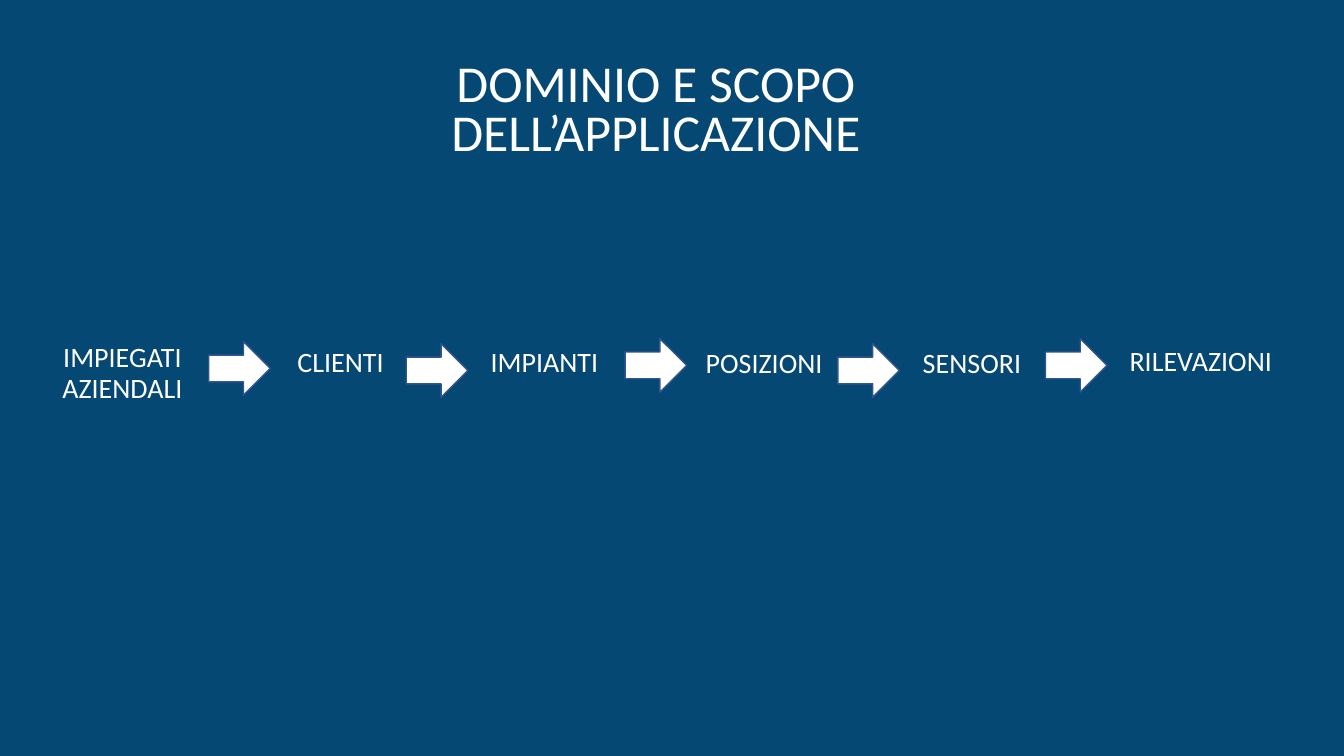
"""Build the slide on the domain and purpose of the application."""
from dataclasses import dataclass

from pptx import Presentation
from pptx.dml.color import RGBColor
from pptx.enum.shapes import MSO_SHAPE
from pptx.enum.text import MSO_ANCHOR, PP_ALIGN
from pptx.slide import Slide
from pptx.util import Inches, Pt

ARROW = MSO_SHAPE.RIGHT_ARROW
TOP = MSO_ANCHOR.TOP
CENTER = PP_ALIGN.CENTER

NAVY = RGBColor(0x06, 0x48, 0x74)
WHITE = RGBColor(0xFF, 0xFF, 0xFF)
EDGE = RGBColor(0x32, 0x54, 0x91)

FONT = "Calibri"
WIDTH = Inches(13.33)
HEIGHT = Inches(7.5)


@dataclass(frozen=True)
class Box:
    """Place and size in percent of the slide."""
    left: float
    top: float
    width: float
    height: float = 14.8

    def frame(self) -> tuple[int, int, int, int]:
        return (round(WIDTH * self.left / 100), round(HEIGHT * self.top / 100),
                round(WIDTH * self.width / 100), round(HEIGHT * self.height / 100))


@dataclass(frozen=True)
class Step:
    text: str
    left: float
    top: float
    width: float = 21.3


@dataclass(frozen=True)
class Link:
    left: float
    top: float


TITLE = Box(25.81, 7.6, 45.99)
STEPS = (
    Step("IMPIEGATI AZIENDALI", 0.6, 44.8, 17.03),
    Step("CLIENTI", 14.7, 45.47),
    Step("IMPIANTI", 29.86, 45.47),
    Step("POSIZIONI", 46.21, 45.6),
    Step("SENSORI", 61.67, 45.6),
    Step("RILEVAZIONI", 78.7, 45.33),
)
LINKS = (
    Link(15.53, 45.2),
    Link(30.23, 45.47),
    Link(46.51, 44.8),
    Link(62.34, 45.47),
    Link(77.79, 44.8),
)


def add_text(slide: Slide, text: str, box: Box, *, size: float = 20,
             spacing: float = 0.9) -> None:
    frame = slide.shapes.add_textbox(*box.frame()).text_frame
    frame.word_wrap = True
    frame.vertical_anchor = TOP
    para = frame.paragraphs[0]
    para.alignment = CENTER
    para.line_spacing = spacing
    para.space_before = Pt(10)
    run = para.add_run()
    run.text = text
    run.font.name = FONT
    run.font.size = Pt(size)
    run.font.color.rgb = WHITE


def add_arrow(slide: Slide, link: Link) -> None:
    box = Box(link.left, link.top, 4.58, 7.07)
    arrow = slide.shapes.add_shape(ARROW, *box.frame())
    arrow.shadow.inherit = False
    arrow.fill.solid()
    arrow.fill.fore_color.rgb = WHITE
    arrow.line.color.rgb = EDGE
    arrow.line.width = Pt(1)


def main() -> None:
    deck = Presentation()
    deck.slide_width = WIDTH
    deck.slide_height = HEIGHT
    slide = deck.slides.add_slide(deck.slide_layouts[6])
    slide.background.fill.solid()
    slide.background.fill.fore_color.rgb = NAVY
    for step in STEPS:
        add_text(slide, step.text, Box(step.left, step.top, step.width))
    for link in LINKS:
        add_arrow(slide, link)
    add_text(slide, "DOMINIO E SCOPO DELL’APPLICAZIONE", TITLE,
             size=37, spacing=0.8)
    deck.save("out.pptx")


if __name__ == "__main__":
    main()
